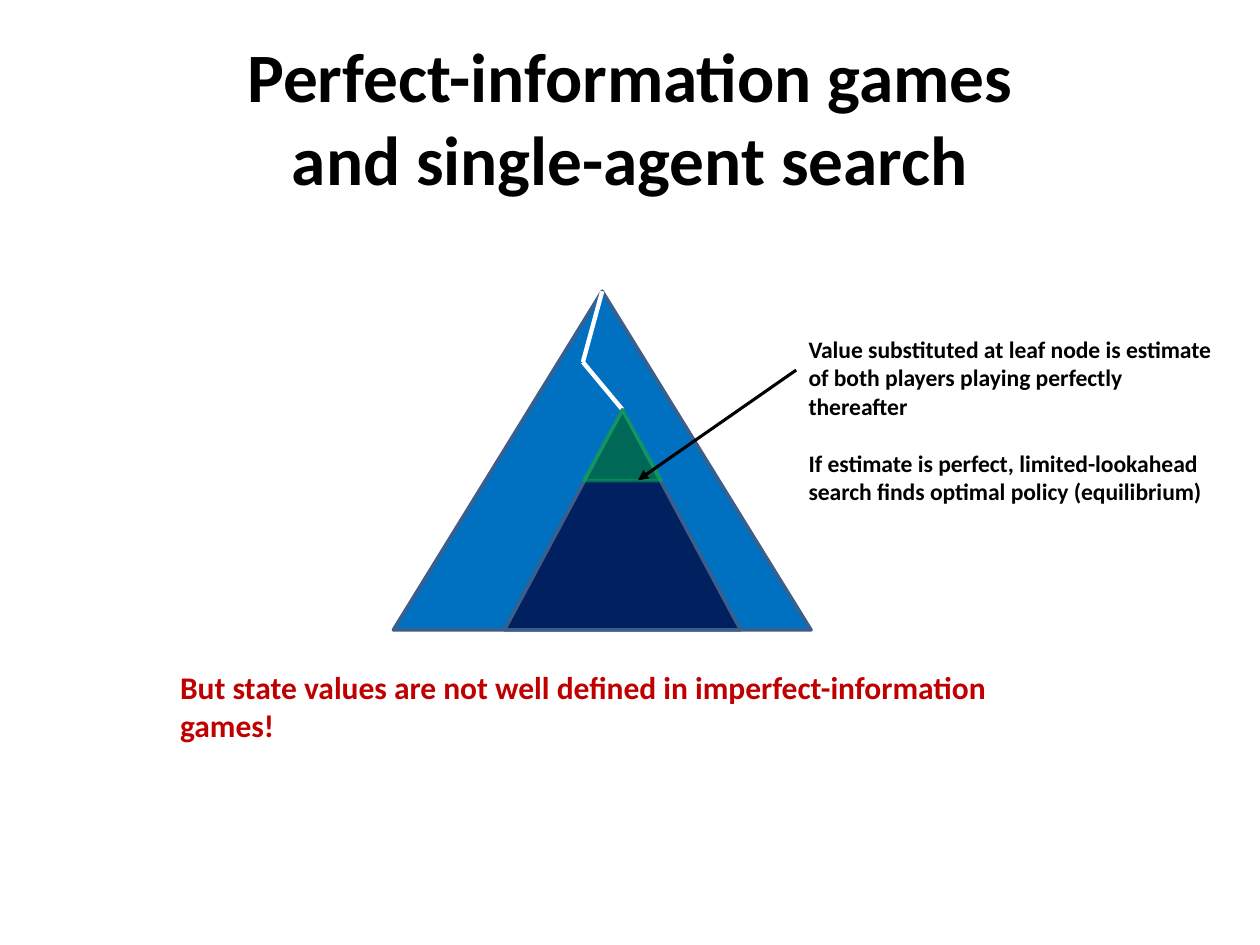
from pptx import Presentation
from pptx.dml.color import RGBColor
from pptx.enum.shapes import MSO_CONNECTOR as Connector, MSO_SHAPE as Shape
from pptx.enum.text import MSO_ANCHOR as Anchor, MSO_AUTO_SIZE as AutoSize, PP_ALIGN as Align
from pptx.oxml.ns import qn
from pptx.util import Cm, Pt
from lxml.etree import SubElement

BLACK = RGBColor(0x00, 0x00, 0x00)
WHITE = RGBColor(0xFF, 0xFF, 0xFF)
BLUE = RGBColor(0x00, 0x70, 0xC0)
NAVY = RGBColor(0x00, 0x20, 0x60)
GREEN = RGBColor(0x00, 0xB0, 0x50)
RED = RGBColor(0xC0, 0x00, 0x00)
OUTLINE = RGBColor(0x3A, 0x5F, 0x8C)


class SlideBuilder:
    font_format = {"name": "Calibri", "bold": True}

    def __init__(self, slide):
        self.slide = slide

    def fill_frame(self, frame, paragraphs, size, color, align=Align.LEFT, gap=0):
        for index, text in enumerate(paragraphs):
            paragraph = frame.paragraphs[0] if index == 0 else frame.add_paragraph()
            paragraph.text = text
            paragraph.alignment = align
            if index:
                paragraph.space_before = Pt(gap)
            for name, value in {**self.font_format, "size": Pt(size)}.items():
                setattr(paragraph.font, name, value)
            paragraph.font.color.rgb = color

    def title(self, text, left, top, width, height):
        shape = self.slide.shapes.title
        box = {"left": left, "top": top, "width": width, "height": height}
        for name, value in box.items():
            setattr(shape, name, Cm(value))
        shape.text_frame.auto_size = AutoSize.NONE
        shape.text_frame.vertical_anchor = Anchor.MIDDLE
        self.fill_frame(shape.text_frame, [text], 39.6, BLACK, Align.CENTER)

    def text(self, paragraphs, left, top, width, height, size, color, gap=0):
        shape = self.slide.shapes.add_textbox(Cm(left), Cm(top), Cm(width), Cm(height))
        shape.text_frame.word_wrap = True
        shape.text_frame.auto_size = AutoSize.SHAPE_TO_FIT_TEXT
        self.fill_frame(shape.text_frame, paragraphs, size, color, gap=gap)

    def triangle(self, apex, width, height, fill, outline, opacity=100):
        x, y = apex
        shape = self.slide.shapes.add_shape(
            Shape.ISOSCELES_TRIANGLE, Cm(x - width / 2), Cm(y), Cm(width), Cm(height))
        shape.shadow.inherit = False
        shape.fill.solid()
        shape.fill.fore_color.rgb = fill
        shape.line.color.rgb = outline
        shape.line.width = Pt(2)
        if opacity < 100:
            for color in shape._element.spPr.iter(qn("a:srgbClr")):
                SubElement(color, qn("a:alpha"), val=str(opacity * 1000))

    def line(self, start, end, color, width, arrow=False):
        points = [Cm(value) for value in (*start, *end)]
        connector = self.slide.shapes.add_connector(Connector.STRAIGHT, *points)
        connector.line.color.rgb = color
        connector.line.width = Pt(width)
        if arrow:
            SubElement(connector.line._get_or_add_ln(), qn("a:tailEnd"), type="triangle")
        SubElement(connector._element.spPr, qn("a:effectLst"))


def main():
    presentation = Presentation()
    presentation.slide_width = Cm(25.4)
    presentation.slide_height = Cm(19.05)
    builder = SlideBuilder(presentation.slides.add_slide(presentation.slide_layouts[5]))

    root = (12.14, 5.87)
    child = (11.75, 7.3)
    node = (12.55, 8.26)
    base = 12.7

    builder.title("Perfect-information games\vand single-agent search", 1.27, 0.76, 22.86, 3.18)
    builder.triangle(root, 8.42, base - root[1], BLUE, OUTLINE)
    for start, end in ((root, child), (child, node)):
        builder.line(start, end, WHITE, 2.5)
    builder.triangle(node, 4.76, base - node[1], NAVY, OUTLINE)
    builder.triangle(node, 1.58, 1.43, GREEN, GREEN, opacity=50)
    builder.text(
        ["Value substituted at leaf node is estimate of both players playing perfectly thereafter",
         "If estimate is perfect, limited-lookahead search finds optimal policy (equilibrium)"],
        16.05, 6.63, 8.86, 3.15, 13.5, BLACK, gap=16.4)
    builder.line((16.05, 7.46), (12.86, 9.68), BLACK, 1.75, arrow=True)
    builder.text(
        ["But state values are not well defined in imperfect-information games!"],
        3.38, 13.34, 18.62, 1.02, 18, RED)

    presentation.save("out.pptx")


if __name__ == "__main__":
    main()
